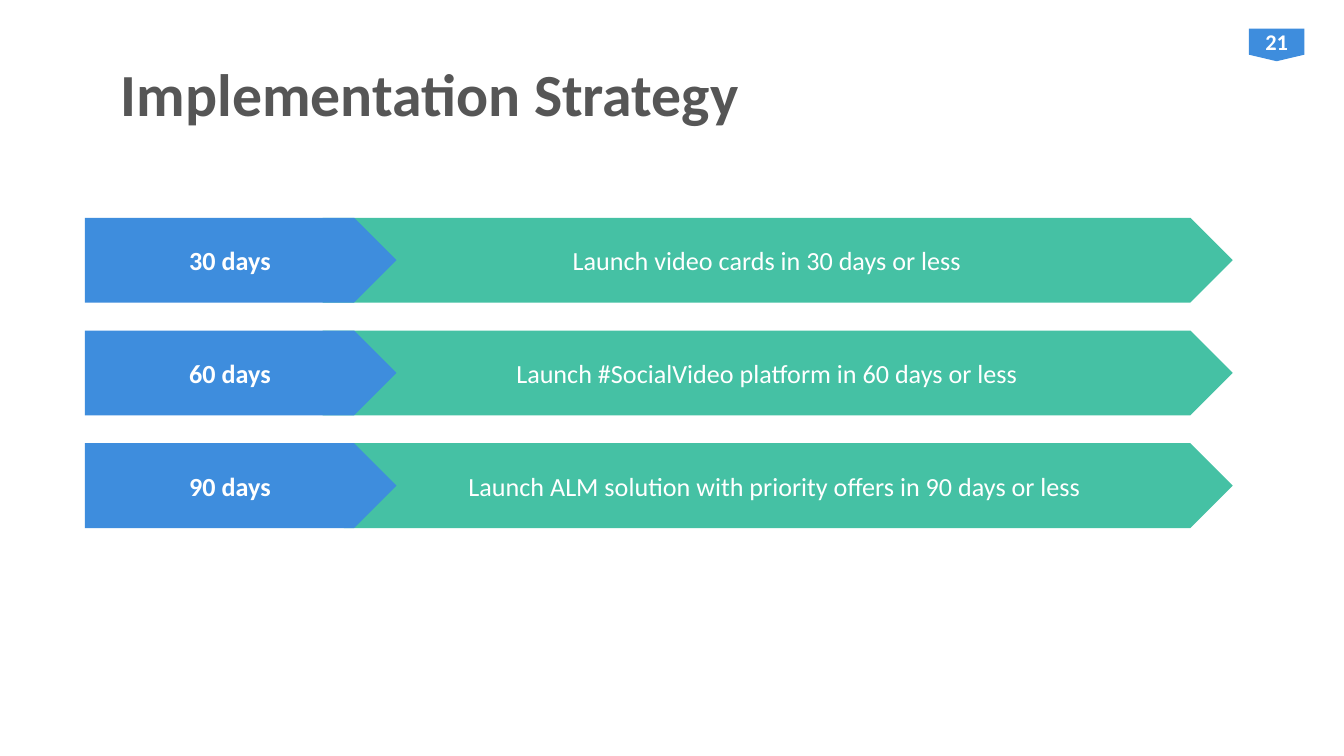
"""Build the implementation strategy slide with three milestone arrows."""
from pptx import Presentation
from pptx.dml.color import RGBColor
from pptx.enum.shapes import MSO_SHAPE
from pptx.enum.text import MSO_ANCHOR, PP_ALIGN
from pptx.util import Pt

TITLE = "Implementation Strategy"
PAGE_NUMBER = "21"
MILESTONES = [
    ("30 days", "Launch video cards in 30 days or less", 172.8),
    ("60 days", "Launch #SocialVideo platform in 60 days or less", 172.8),
    ("90 days", "Launch ALM solution with priority offers in 90 days or less ", 184.3),
]

BLUE, GREEN, WHITE, GRAY = "3E8DDD", "45C1A4", "FFFFFF", "565656"
LEFT, RIGHT, TOP = 45.4, 660.4, 116.7
LABEL_WIDTH, BAR_HEIGHT, PITCH = 167, 45.4, 60.4


def color(value):
    return RGBColor.from_string(value)


def write(shape, text, size=14, fill=WHITE, bold=False, align=PP_ALIGN.CENTER, inset=(7.2, 3.6)):
    frame = shape.text_frame
    frame.word_wrap = True
    frame.vertical_anchor = MSO_ANCHOR.MIDDLE
    frame.margin_left = frame.margin_right = Pt(inset[0])
    frame.margin_top = frame.margin_bottom = Pt(inset[1])
    paragraph = frame.paragraphs[0]
    paragraph.alignment = align
    run = paragraph.add_run()
    run.text = text
    run.font.name = "Calibri"
    run.font.size = Pt(size)
    run.font.bold = bold
    run.font.color.rgb = color(fill)


def add_block(slide, kind, left, top, width, height, fill):
    shape = slide.shapes.add_shape(kind, Pt(left), Pt(top), Pt(width), Pt(height))
    shape.shadow.inherit = False
    shape.fill.solid()
    shape.fill.fore_color.rgb = color(fill)
    shape.line.fill.background()
    return shape


def main():
    presentation = Presentation()
    presentation.slide_width, presentation.slide_height = Pt(720), Pt(405)
    slide = presentation.slides.add_slide(presentation.slide_layouts[5])

    title = slide.shapes.title
    title.left, title.top, title.width, title.height = Pt(57.6), Pt(23.8), Pt(604.8), Pt(51.8)
    write(title, TITLE, size=32, fill=GRAY, bold=True, align=PP_ALIGN.LEFT)

    badge = add_block(slide, MSO_SHAPE.FLOWCHART_OFFPAGE_CONNECTOR, 669, 15.3, 29.8, 17.5, BLUE)
    write(badge, PAGE_NUMBER, size=12, bold=True, inset=(0, 0))

    for row, (period, goal, goal_left) in enumerate(MILESTONES):
        top = TOP + row * PITCH
        bars = [
            (goal, goal_left, RIGHT - goal_left, GREEN, False),
            (period, LEFT, LABEL_WIDTH, BLUE, True),
        ]
        for text, left, width, fill, bold in bars:
            bar = add_block(slide, MSO_SHAPE.PENTAGON, left, top, width, BAR_HEIGHT, fill)
            write(bar, text, bold=bold)

    presentation.save("out.pptx")


if __name__ == "__main__":
    main()
